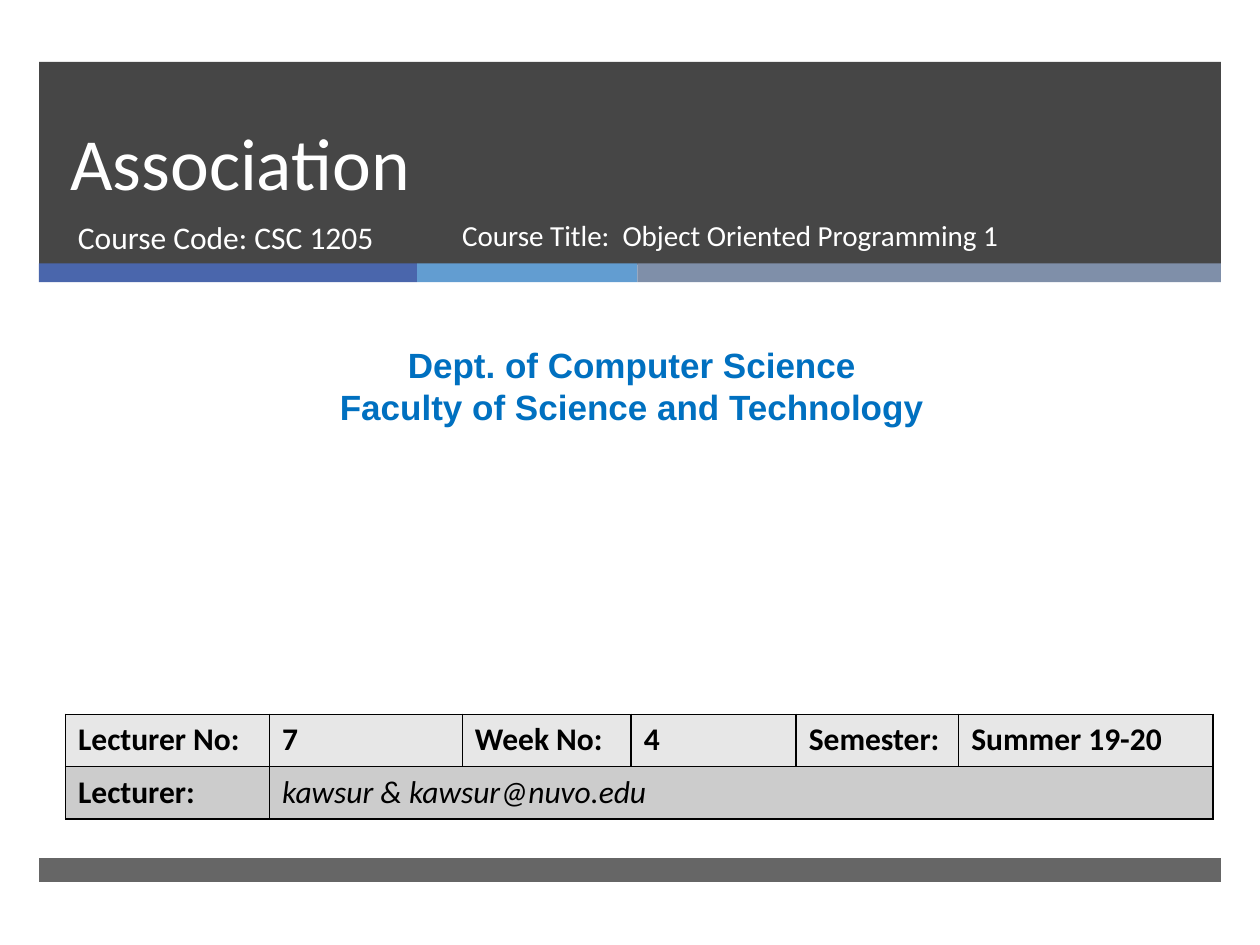
"""Build the title slide of the Association lecture."""
from lxml import etree
from pptx import Presentation
from pptx.dml.color import RGBColor
from pptx.enum import shapes, text
from pptx.oxml import ns
from pptx.util import Inches, Pt

WHITE = RGBColor(0xFF, 0xFF, 0xFF)
BLACK = RGBColor(0, 0, 0)
CHARCOAL = RGBColor(0x26, 0x26, 0x26)
INDIGO = RGBColor(0x4A, 0x66, 0xAC)
SKY = RGBColor(0x62, 0x9D, 0xD1)
SLATE = RGBColor(0x7F, 0x8F, 0xA9)
BLUE = RGBColor(0x00, 0x70, 0xC0)
LIGHT_GRAY = RGBColor(0xE7, 0xE7, 0xE7)
MID_GRAY = RGBColor(0xCC, 0xCC, 0xCC)

MARGIN, BAND_WIDTH = 0.31, 9.38
BANDS = [(0.49, 1.61, CHARCOAL, 85), (6.81, 0.19, CHARCOAL, 70)]
STRIPES = [(3, INDIGO), (1.75, SKY), (4.63, SLATE)]
STRIPE_TOP, STRIPE_HEIGHT = 2.09, 0.15

TEXTS = [
    ((0.46, 0.49, 8.54, 1.19), ["Association"],
     {"name": "Calibri", "size": Pt(42)}, WHITE,
     {"line_spacing": Pt(46)}, text.MSO_ANCHOR.BOTTOM),
    ((0.52, 1.68, 3.05, 0.53), ["Course Code: CSC 1205"],
     {"name": "Calibri", "size": Pt(18)}, WHITE, {}, text.MSO_ANCHOR.TOP),
    ((0.08, 2.68, 9.87, 0.77),
     ["Dept. of Computer Science", "Faculty of Science and Technology"],
     {"name": "Arial", "size": Pt(20), "bold": True}, BLUE,
     {"alignment": text.PP_ALIGN.CENTER}, text.MSO_ANCHOR.TOP),
    ((3.57, 1.68, 4.61, 0.53), ["Course Title:  Object Oriented Programming 1"],
     {"name": "Calibri", "size": Pt(16.6)}, WHITE, {}, text.MSO_ANCHOR.TOP),
]

TABLE_BOX = (0.52, 5.67, 9.12, 0.83)
COLUMN_WIDTHS = [1.62, 1.53, 1.34, 1.31, 1.29, 2.02]
ROWS = [
    (LIGHT_GRAY, ["Lecturer No:", "7", "Week No:", "4", "Semester:", "Summer 19-20"]),
    (MID_GRAY, ["Lecturer:", "kawsur & kawsur@nuvo.edu", "", "", "", ""]),
]
LABEL_FONT = {"name": "Calibri", "size": Pt(18), "bold": True}
LECTURER_FONT = {**LABEL_FONT, "bold": False, "italic": True}


def apply(target, values):
    for name, value in values.items():
        setattr(target, name, value)


def write(frame, lines, font, color, layout=None):
    for index, line in enumerate(lines):
        paragraph = frame.add_paragraph() if index else frame.paragraphs[0]
        apply(paragraph, layout or {})
        run = paragraph.add_run()
        run.text = line
        apply(run.font, font)
        run.font.color.rgb = color


def add_bar(slide, box, color, opacity=100):
    shape = slide.shapes.add_shape(shapes.MSO_SHAPE.RECTANGLE, *map(Inches, box))
    shape.shadow.inherit = False
    shape.fill.solid()
    shape.fill.fore_color.rgb = color
    shape.line.fill.background()
    if opacity < 100:
        fill_color = shape.fill._xPr.find(".//" + ns.qn("a:srgbClr"))
        etree.SubElement(fill_color, ns.qn("a:alpha"), val=str(opacity * 1000))


def add_text(slide, box, lines, font, color, layout, anchor):
    frame = slide.shapes.add_textbox(*map(Inches, box)).text_frame
    apply(frame, {"word_wrap": True, "vertical_anchor": anchor})
    write(frame, lines, font, color, layout)


def style_cell(cell, color):
    cell.fill.solid()
    cell.fill.fore_color.rgb = color
    properties = cell._tc.get_or_add_tcPr()
    for index, side in enumerate(("lnL", "lnR", "lnT", "lnB")):
        border = etree.Element(ns.qn("a:" + side), w=str(Pt(1)))
        fill = etree.SubElement(border, ns.qn("a:solidFill"))
        etree.SubElement(fill, ns.qn("a:srgbClr"), val=str(BLACK))
        properties.insert(index, border)


def add_lecture_table(slide):
    frame = slide.shapes.add_table(len(ROWS), len(COLUMN_WIDTHS), *map(Inches, TABLE_BOX))
    table = frame.table
    for column, width in zip(table.columns, COLUMN_WIDTHS):
        column.width = Inches(width)
    for row_index, (color, values) in enumerate(ROWS):
        for column_index, value in enumerate(values):
            cell = table.cell(row_index, column_index)
            style_cell(cell, color)
            if value:
                font = LECTURER_FONT if row_index and column_index else LABEL_FONT
                write(cell.text_frame, [value], font, BLACK)
    table.cell(1, 1).merge(table.cell(1, len(COLUMN_WIDTHS) - 1))


def main():
    presentation = Presentation()
    apply(presentation, {"slide_width": Inches(10), "slide_height": Inches(7.5)})
    slide = presentation.slides.add_slide(presentation.slide_layouts[6])
    for top, height, color, opacity in BANDS:
        add_bar(slide, (MARGIN, top, BAND_WIDTH, height), color, opacity)
    left = MARGIN
    for width, color in STRIPES:
        add_bar(slide, (left, STRIPE_TOP, width, STRIPE_HEIGHT), color)
        left += width
    for entry in TEXTS:
        add_text(slide, *entry)
    add_lecture_table(slide)
    presentation.save("out.pptx")


if __name__ == "__main__":
    main()
